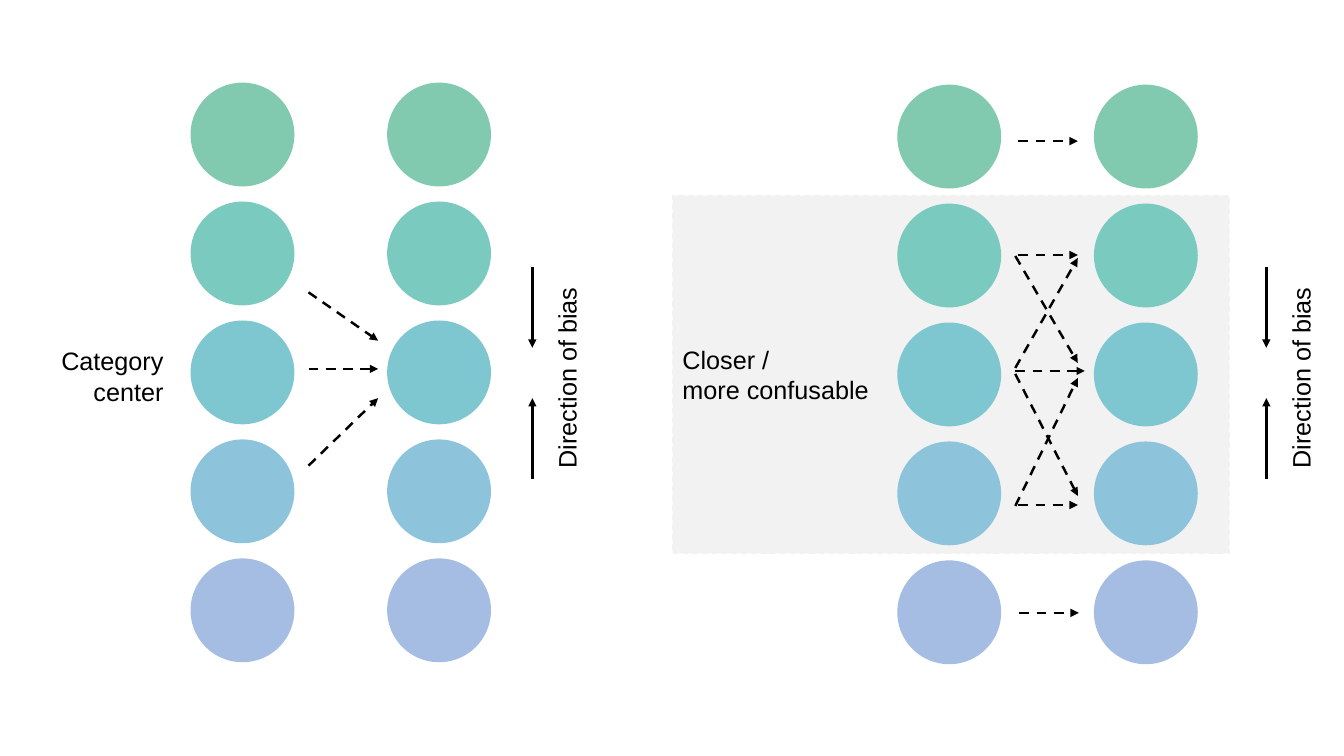
from lxml import etree
from pptx import Presentation
from pptx import util as u
from pptx.dml.color import RGBColor
from pptx.enum import dml, shapes, text
from pptx.oxml.ns import qn

COLORS = {
    "green": "82CAAF",
    "teal": "7ACAC0",
    "cyan": "7EC7D0",
    "blue": "8EC3DC",
    "violet": "A5BDE3",
    "panel": "F2F2F2",
    "ink": "000000",
}
SCALE = ["green", "teal", "cyan", "blue", "violet"]
DIAMETER, PITCH = 1.03, 1.18


class Diagram:
    """Holds the slide and the shared style."""

    font, size, line_width = "Arial", u.Pt(18), u.Pt(1.75)

    def __init__(self, slide):
        self.shapes = slide.shapes

    def rgb(self, name):
        return RGBColor.from_string(COLORS[name])

    def shape(self, kind, x, y, w, h, color):
        sp = self.shapes.add_shape(
            kind, u.Inches(x), u.Inches(y), u.Inches(w), u.Inches(h))
        sp.shadow.inherit = False
        sp.fill.solid()
        sp.fill.fore_color.rgb = self.rgb(color)
        sp.line.fill.background()
        return sp

    def column(self, x, top):
        for i, color in enumerate(SCALE):
            self.shape(shapes.MSO_SHAPE.OVAL, x, top + i * PITCH,
                       DIAMETER, DIAMETER, color)

    def set_text(self, sp, lines, align):
        tf = sp.text_frame
        tf.word_wrap = True
        tf.text = "\n".join(lines)
        for p in tf.paragraphs:
            p.alignment = align
            p.font.name, p.font.size = self.font, self.size
            p.font.color.rgb = self.rgb("ink")

    def panel(self, x, y, w, h, lines):
        sp = self.shape(shapes.MSO_SHAPE.RECTANGLE, x, y, w, h, "panel")
        sp.line.color.rgb = self.rgb("panel")
        sp.line.width = u.Pt(1)
        sp.line.dash_style = dml.MSO_LINE.DASH
        sp.text_frame.vertical_anchor = text.MSO_ANCHOR.MIDDLE
        self.set_text(sp, lines, text.PP_ALIGN.LEFT)

    def label(self, x, y, w, h, line, align, rotation=0):
        sp = self.shapes.add_textbox(
            u.Inches(x), u.Inches(y), u.Inches(w), u.Inches(h))
        sp.rotation = rotation
        self.set_text(sp, [line], align)

    def arrow(self, x1, y1, x2, y2, dashed=True):
        sp = self.shapes.add_connector(
            shapes.MSO_CONNECTOR.STRAIGHT,
            u.Inches(x1), u.Inches(y1), u.Inches(x2), u.Inches(y2))
        sp.line.color.rgb = self.rgb("ink")
        sp.line.width = self.line_width
        if dashed:
            sp.line.dash_style = dml.MSO_LINE.DASH
        props = sp._element.spPr
        etree.SubElement(props.find(qn("a:ln")), qn("a:tailEnd"), type="triangle")
        etree.SubElement(props, qn("a:effectLst"))

    def bias(self, x):
        """Two arrows pointing at the centre, with an upright caption."""
        self.arrow(x, 4.75, x, 3.95, dashed=False)
        self.arrow(x, 2.65, x, 3.45, dashed=False)
        self.label(x - 1.28, 3.55, 3.24, 0.4, "Direction of bias",
                   text.PP_ALIGN.CENTER, rotation=270)


def main():
    prs = Presentation()
    prs.slide_width, prs.slide_height = u.Inches(13.33), u.Inches(7.5)
    d = Diagram(prs.slides.add_slide(prs.slide_layouts[6]))

    # Left: bias towards the category center
    for x in (1.89, 3.84):
        d.column(x, 0.82)
    for y1, y2 in ((2.9, 3.38), (3.66, 3.66), (4.62, 3.95)):
        d.arrow(3.06, y1, 3.75, y2)
    d.label(0.18, 3.38, 1.54, 1.01, "Category center", text.PP_ALIGN.RIGHT)
    d.bias(5.28)

    # Right: confusable colours on a panel
    d.panel(6.67, 1.94, 5.52, 3.55, ["Closer /", "more confusable"])
    for x in (8.9, 10.85):
        d.column(x, 0.84)

    # Straight arrows for each colour
    for x1, x2, y in ((10.1, 10.69, 1.4), (10.1, 10.69, 2.53),
                      (10.07, 10.76, 3.68), (10.1, 10.69, 5.01),
                      (10.11, 10.7, 6.08)):
        d.arrow(x1, y, x2, y)

    # Crossing arrows between neighbours
    for y1, y2 in ((2.54, 3.6), (3.65, 2.56), (3.71, 4.92), (5.02, 3.75)):
        d.arrow(10.07, y1, 10.69, y2)
    d.bias(12.56)

    prs.save("out.pptx")


if __name__ == "__main__":
    main()
